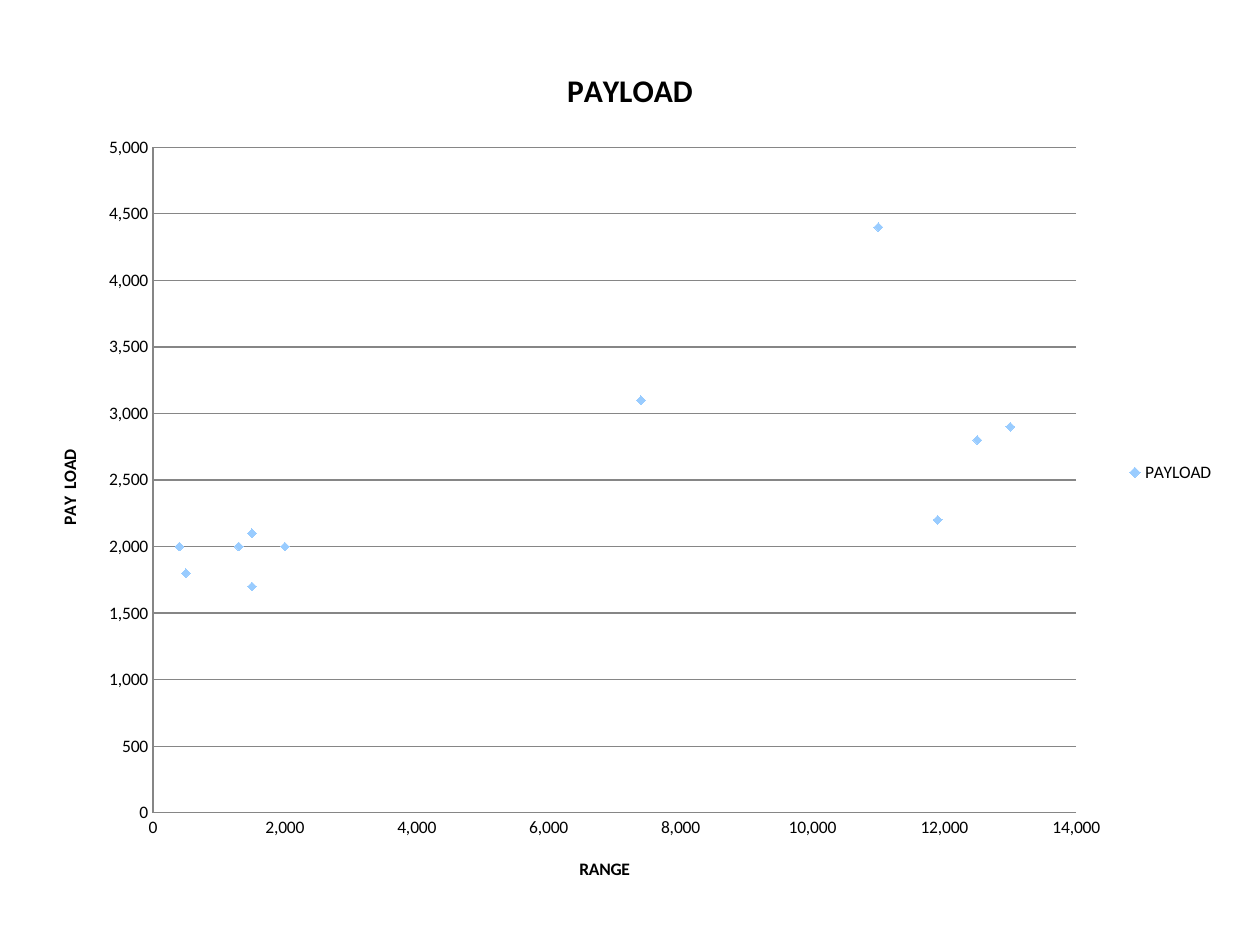
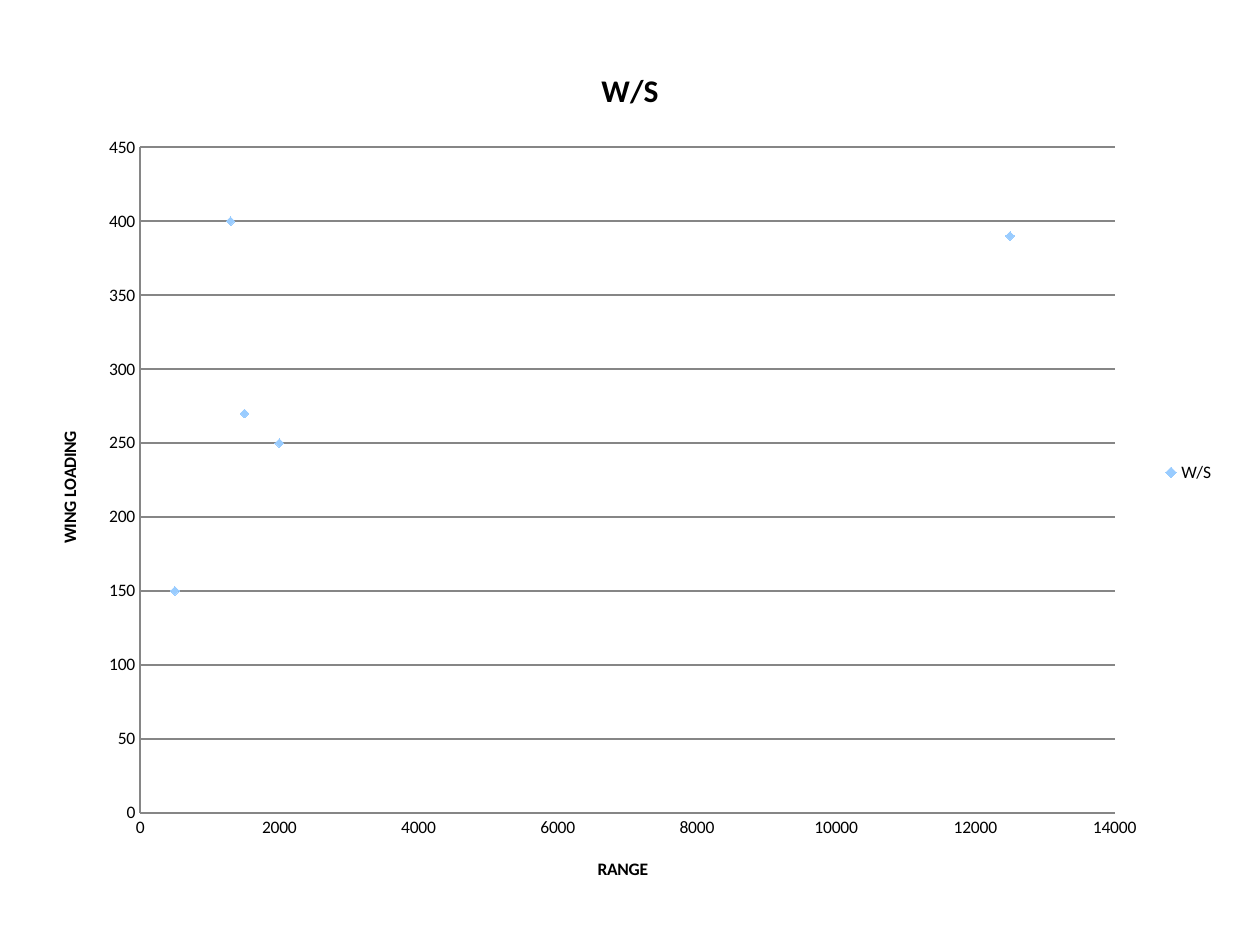
from dataclasses import dataclass
from typing import Optional

from pptx import Presentation
from pptx.chart.data import XyChartData
from pptx.dml.color import RGBColor
from pptx.enum.chart import XL_CHART_TYPE as ChartType
from pptx.enum.chart import XL_LEGEND_POSITION as LegendPosition
from pptx.enum.chart import XL_MARKER_STYLE as MarkerStyle
from pptx.enum.chart import XL_TICK_MARK as TickMark
from pptx.util import Inches, Pt

FONT = "Calibri"
TEXT = "000000"
AXIS_LINE = "868686"
MARKER = "99CCFF"
BLANK_LAYOUT = 6
NO_POINT = (None, None)


@dataclass
class ScatterSlide:
    """Content of one slide with a scatter chart over the range."""
    name: str
    value_title: str
    number_format: str
    value_maximum: int
    value_step: int
    line_width: float
    points: list[tuple[Optional[int], Optional[int]]]


SCATTER_SLIDES = [
    ScatterSlide("PAYLOAD", "PAY  LOAD", "#,##0", 5000, 500, 0.75, [
        (1500, 2100), NO_POINT, (1500, 1700), (12500, 2800),
        (13000, 2900), (11000, 4400), (11900, 2200), (7400, 3100),
        (500, 1800), (400, 2000), (2000, 2000), (1300, 2000)]),
    ScatterSlide("W/S", "WING LOADING", "General", 450, 50, 1, [
        (1500, 270), NO_POINT, (12500, 390), (500, 150), (2000, 250),
        (1300, 400)]),
]


def color(value: str) -> RGBColor:
    """Turn a hex string into a colour."""
    return RGBColor.from_string(value)


def style_font(font, size: int, bold: bool = False) -> None:
    """Apply the shared typeface and text colour."""
    font.name = FONT
    font.size = Pt(size)
    font.bold = bold
    font.color.rgb = color(TEXT)


def set_title(owner, text: str, size: int) -> None:
    """Write a bold title on a chart or an axis."""
    owner.has_title = True
    title = owner.chart_title if hasattr(owner, "chart_title") else owner.axis_title
    run = title.text_frame.paragraphs[0].add_run()
    run.text = text
    style_font(run.font, size, bold=True)


def style_line(line, width: float) -> None:
    """Draw a thin grey axis or grid line."""
    line.color.rgb = color(AXIS_LINE)
    line.width = Pt(width)


def style_axis(axis, title: str, maximum: int, step: int,
               content: ScatterSlide) -> None:
    """Set the scale, title, labels and line of an axis."""
    axis.minimum_scale, axis.maximum_scale = 0, maximum
    axis.major_unit = step
    axis.major_tick_mark = axis.minor_tick_mark = TickMark.NONE
    axis.has_major_gridlines = False
    axis.tick_labels.number_format = content.number_format
    axis.tick_labels.number_format_is_linked = False
    style_font(axis.tick_labels.font, 10)
    style_line(axis.format.line, content.line_width)
    set_title(axis, title, 10)


def drop_empty_points(chart) -> None:
    """Leave a gap in the stored values where a point has no value."""
    for point in chart.element.xpath('.//c:pt[c:v="None" or c:v=""]'):
        point.getparent().remove(point)


def add_scatter_slide(presentation, content: ScatterSlide) -> None:
    """Add a slide filled by one scatter chart."""
    slide = presentation.slides.add_slide(presentation.slide_layouts[BLANK_LAYOUT])
    data = XyChartData()
    data_series = data.add_series(content.name)
    for distance, value in content.points:
        data_series.add_data_point(distance, value)
    chart = slide.shapes.add_chart(
        ChartType.XY_SCATTER, Inches(0.26), Inches(0.31),
        Inches(9.48), Inches(6.88), data).chart
    drop_empty_points(chart)

    style_font(chart.font, 10)
    set_title(chart, content.name, 18)
    chart.has_legend = True
    chart.legend.position = LegendPosition.RIGHT
    chart.legend.include_in_layout = False
    style_font(chart.legend.font, 10)

    style_axis(chart.category_axis, "RANGE", 14000, 2000, content)
    style_axis(chart.value_axis, content.value_title, content.value_maximum,
               content.value_step, content)
    chart.value_axis.has_major_gridlines = True
    style_line(chart.value_axis.major_gridlines.format.line, content.line_width)

    plot = chart.plots[0]
    plot.vary_by_categories = False
    series = plot.series[0]
    series.format.line.fill.background()
    series.marker.style = MarkerStyle.DIAMOND
    series.marker.size = 5
    series.marker.format.fill.solid()
    series.marker.format.fill.fore_color.rgb = color(MARKER)
    series.marker.format.line.color.rgb = color(MARKER)


def main() -> None:
    """Build and save the presentation."""
    presentation = Presentation()
    presentation.slide_width = Inches(10)
    presentation.slide_height = Inches(7.5)
    for content in SCATTER_SLIDES:
        add_scatter_slide(presentation, content)
    presentation.save("out.pptx")


main()
